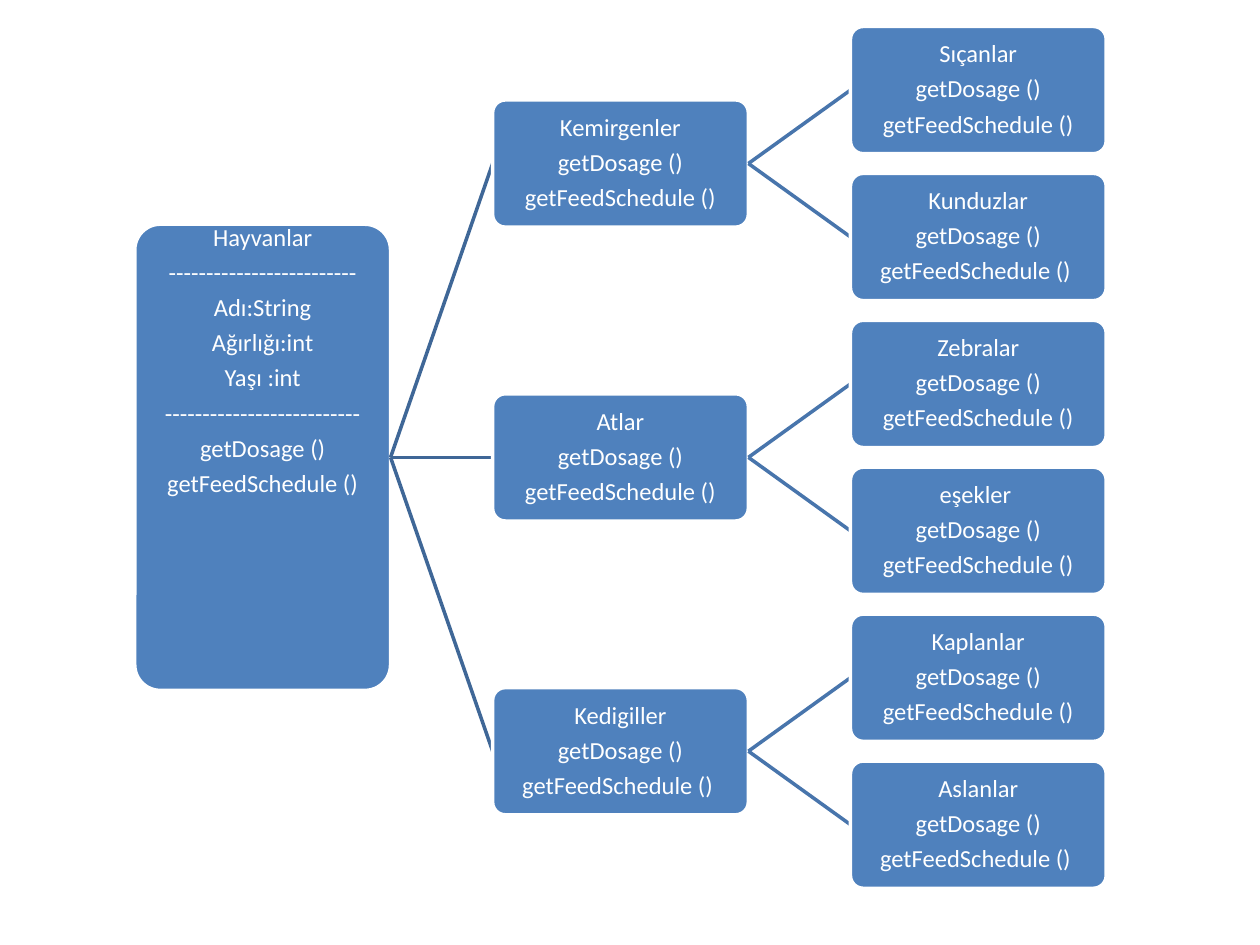
from dataclasses import dataclass
from pptx import Presentation
from pptx.dml.color import RGBColor as RGB
from pptx.enum.shapes import MSO_CONNECTOR as CONN, MSO_SHAPE as SHAPE
from pptx.enum.text import MSO_ANCHOR as ANCHOR, PP_ALIGN as ALIGN
from pptx.oxml.ns import qn
from pptx.util import Inches, Pt
from lxml import etree


@dataclass(frozen=True)
class Theme:
    card: RGB = RGB(0x4F, 0x81, 0xBD)
    paper: RGB = RGB(0xFF, 0xFF, 0xFF)
    trunk: RGB = RGB(0x3F, 0x67, 0x97)
    branch: RGB = RGB(0x48, 0x75, 0xAC)
    font: str = "Calibri"
    size: float = 14
    line: float = 2


T = Theme()
W, H, ROOT_H = 2.03, 1.01, 3.7
ROOT_X, GROUP_X, LEAF_X = 1.07, 3.91, 6.75
MID_Y, LEAF_STEP = 3.63, 1.166
METHODS = ["getDosage ()", "getFeedSchedule ()"]
ROOT = ["Hayvanlar", "-" * 25, "Adı:String", "Ağırlığı:int", "Yaşı\u00a0:int",
        "-" * 26, *METHODS]
GROUPS = [
    ("\u00a0Kemirgenler\u00a0", "", [("Sıçanlar", ""), ("Kunduzlar", "\u00a0")]),
    ("Atlar", "", [("Zebralar", ""), ("eşekler\u00a0", "")]),
    ("Kedigiller", "\u00a0", [("Kaplanlar", ""), ("Aslanlar", "\u00a0")]),
]

prs = Presentation()
prs.slide_width, prs.slide_height = Inches(10), Inches(7.5)
slide = prs.slides.add_slide(prs.slide_layouts[6])


def add_card(x, mid, h, lines, anchor=ANCHOR.MIDDLE):
    box = Inches(x), Inches(mid - h / 2), Inches(W), Inches(h)
    s = slide.shapes.add_shape(SHAPE.ROUNDED_RECTANGLE, *box)
    s.adjustments[0] = 0.1
    s.shadow.inherit = False
    s.fill.solid()
    s.fill.fore_color.rgb = T.card
    s.line.color.rgb = T.paper
    s.line.width = Pt(T.line)
    if anchor == ANCHOR.TOP:
        s = slide.shapes.add_textbox(*box)
    tf = s.text_frame
    tf.word_wrap = True
    tf.vertical_anchor = anchor
    tf.margin_left = tf.margin_right = tf.margin_top = tf.margin_bottom = Inches(0.01)
    for i, text in enumerate(lines):
        p = tf.add_paragraph() if i else tf.paragraphs[0]
        p.alignment = ALIGN.CENTER
        p.line_spacing = 0.9
        p.space_after = Pt(T.size * 0.35)
        r = p.add_run()
        r.text = text
        r.font.name = T.font
        r.font.size = Pt(T.size)
        r.font.color.rgb = T.paper


def add_link(x1, y1, x2, y2, color):
    c = slide.shapes.add_connector(CONN.STRAIGHT, Inches(x1), Inches(y1), Inches(x2), Inches(y2))
    c.line.color.rgb = color
    c.line.width = Pt(T.line)
    etree.SubElement(c._element.spPr, qn("a:effectLst"))


add_card(ROOT_X, MID_Y, ROOT_H, ROOT, ANCHOR.TOP)
for g, (name, tail, leaves) in enumerate(GROUPS):
    group_y = MID_Y + (g - 1) * 2 * LEAF_STEP
    add_link(ROOT_X + W, MID_Y, GROUP_X, group_y, T.trunk)
    add_card(GROUP_X, group_y, H, [name, METHODS[0], METHODS[1] + tail])
    for n, (leaf, leaf_tail) in enumerate(leaves):
        leaf_y = group_y + (n - 0.5) * LEAF_STEP
        add_link(GROUP_X + W, group_y, LEAF_X, leaf_y, T.branch)
        add_card(LEAF_X, leaf_y, H, [leaf, METHODS[0], METHODS[1] + leaf_tail])

prs.save("out.pptx")
